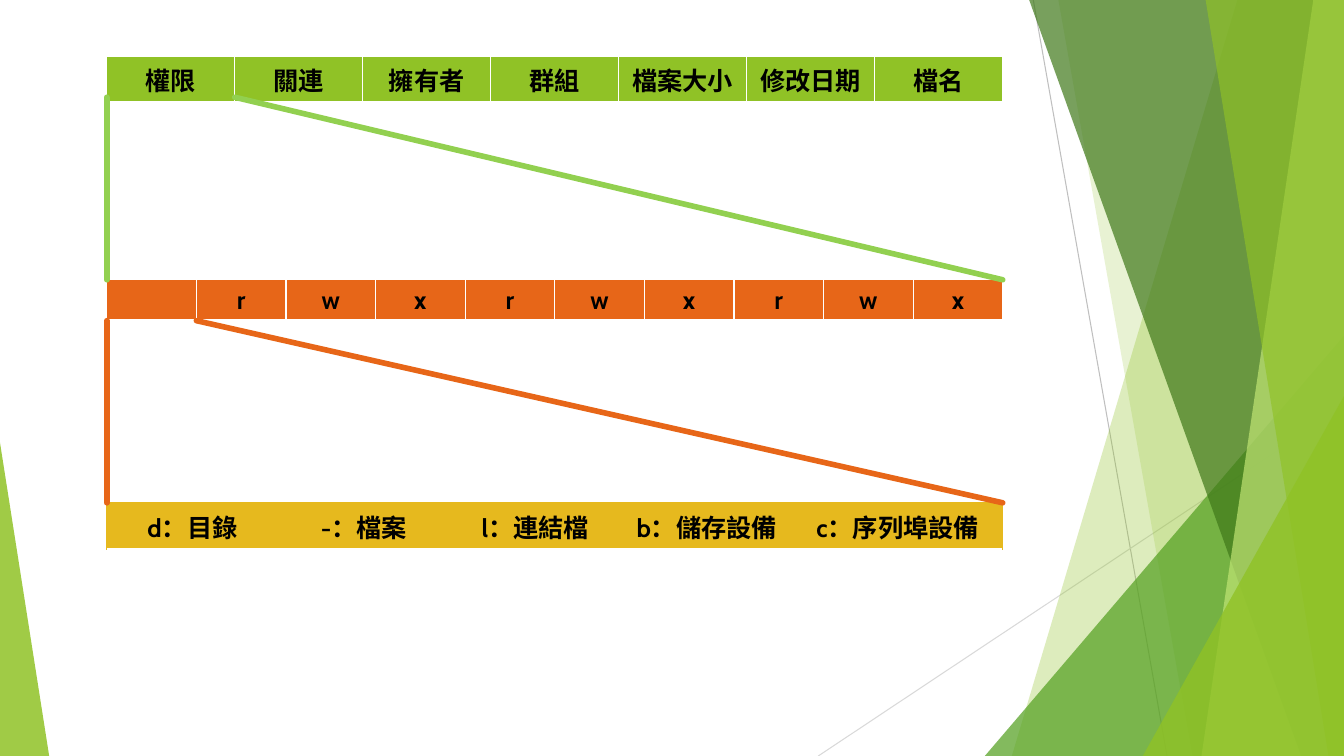
from lxml import etree
from pptx import Presentation
from pptx import util as u
from pptx.dml.color import RGBColor
from pptx.enum import shapes, text
from pptx.oxml import ns

WIDE, HIGH = 33.87, 19.05
LEFT, SPAN, ROW = 2.69, 22.58, 1.03
RIGHT = LEFT + SPAN

BLACK = RGBColor(0x00, 0x00, 0x00)
WHITE = RGBColor(0xFF, 0xFF, 0xFF)
LIME = RGBColor(0x90, 0xC2, 0x26)
GREEN = RGBColor(0x54, 0xA0, 0x21)
DARK = RGBColor(0x3F, 0x78, 0x19)
PALE = RGBColor(0xC0, 0xE4, 0x74)
BRIGHT = RGBColor(0x92, 0xD0, 0x50)
ORANGE = RGBColor(0xE7, 0x66, 0x18)
GOLD = RGBColor(0xE6, 0xB9, 0x1E)
GRAY = RGBColor(0xBF, 0xBF, 0xBF)
SILVER = RGBColor(0xD9, 0xD9, 0xD9)


def add(parent, tag, **attrs):
    return etree.SubElement(parent, ns.qn(tag), attrs)


class Deck:
    style = {"size": u.Pt(18), "bold": True}

    def __init__(self):
        self.prs = Presentation()
        self.prs.slide_width = u.Cm(WIDE)
        self.prs.slide_height = u.Cm(HIGH)
        self.slide = self.prs.slides.add_slide(self.prs.slide_layouts[6])
        self.items = self.slide.shapes

    def paint(self, shape, color, alpha):
        shape.shadow.inherit = False
        shape.line.fill.background()
        shape.fill.solid()
        shape.fill.fore_color.rgb = color
        tint = shape.fill._xPr.find(".//" + ns.qn("a:srgbClr"))
        add(tint, "a:alpha", val=str(alpha * 1000))

    def band(self, top, foot, color, alpha):
        """Full-height band from a slanted left edge to the slide's right edge."""
        ends = [(top, -0.02), (WIDE, -0.02), (WIDE, HIGH), (foot, HIGH)]
        dots = [(u.Cm(x), u.Cm(y)) for x, y in ends]
        build = self.items.build_freeform(*dots[0])
        build.add_line_segments(dots[1:], close=True)
        self.paint(build.convert_to_shape(), color, alpha)

    def wedge(self, x, y, wide, tip, color, alpha):
        """Triangle that stands on the slide's bottom edge."""
        shape = self.items.add_shape(
            shapes.MSO_SHAPE.ISOSCELES_TRIANGLE,
            u.Cm(x), u.Cm(y), u.Cm(wide), u.Cm(HIGH - y))
        shape.adjustments[0] = tip
        self.paint(shape, color, alpha)

    def line(self, x1, y1, x2, y2, color, width):
        link = self.items.add_connector(
            shapes.MSO_CONNECTOR.STRAIGHT,
            u.Cm(x1), u.Cm(y1), u.Cm(x2), u.Cm(y2))
        link.line.color.rgb = color
        link.line.width = u.Pt(width)
        link.line._get_or_add_ln().set("cap", "rnd")
        add(link._element.spPr, "a:effectLst")

    def edge(self, cell, sides):
        """Borders in the order left, right, top, bottom; None hides one."""
        props = cell._tc.get_or_add_tcPr()
        for i, (side, look) in enumerate(zip("LRTB", sides)):
            color, width = look or (None, 0)
            ln = etree.Element(ns.qn("a:ln" + side), w=str(u.Pt(width)))
            if color is None:
                add(ln, "a:noFill")
            else:
                add(add(ln, "a:solidFill"), "a:srgbClr", val=str(color))
            props.insert(i, ln)

    def table(self, y, words, widths, color, font, borders):
        frame = self.items.add_table(
            1, len(words), u.Cm(LEFT), u.Cm(y), u.Cm(SPAN), u.Cm(ROW))
        grid = frame.table
        grid.first_row = grid.horz_banding = False
        for i, (word, width) in enumerate(zip(words, widths)):
            grid.columns[i].width = u.Cm(width)
            cell = grid.cell(0, i)
            cell.fill.solid()
            cell.fill.fore_color.rgb = color
            self.edge(cell, borders(i))
            para = cell.text_frame.paragraphs[0]
            para.alignment = text.PP_ALIGN.CENTER
            if word:
                run = para.add_run()
                run.text = word
                run.font.color.rgb = BLACK
                for key, value in {**self.style, "name": font}.items():
                    setattr(run.font, key, value)


def boxed(i):
    thin = (WHITE, 1)
    return thin, thin, thin, (WHITE, 3)


def main():
    deck = Deck()

    # Green backdrop
    deck.line(26.04, 0, 29.41, HIGH, GRAY, 0.75)
    deck.line(WIDE, 10.24, 20.62, HIGH, SILVER, 0.75)
    deck.band(31.19, 25.5, LIME, 30)
    deck.band(26.67, 30.05, LIME, 20)
    deck.wedge(24.82, 8.46, 9.05, 1, GREEN, 72)
    deck.band(25.93, 32.79, DARK, 70)
    deck.band(33.1, 30.28, PALE, 70)
    deck.band(30.38, 33.48, LIME, 65)
    deck.wedge(28.8, 9.98, 5.07, 1, LIME, 80)
    deck.wedge(0, 11.15, 1.24, 0, LIME, 85)

    # Listing columns, permission bits and file types
    heads = ["權限", "關連", "擁有者", "群組", "檔案大小", "修改日期", "檔名"]
    bits = [""] + list("rwx") * 3
    kinds = ["d：目錄", "-：檔案", "l：連結檔", "b：儲存設備", "c：序列埠設備"]
    step, bit = SPAN / len(heads), SPAN / len(bits)
    rim = (GOLD, 1)

    def framed(i):
        last = i == len(kinds) - 1
        return (None if i else rim, rim if last else None, rim, (WHITE, 1.5))

    tops = [1.42, 7.05, 12.67]
    deck.table(tops[0], heads, [step] * 7, LIME, "Arial", boxed)
    deck.table(tops[1], bits, [bit] * 10, ORANGE, "Cabin", boxed)
    deck.table(tops[2], kinds, [4.32] * 4 + [5.3], GOLD, "Cabin", framed)

    # Lines that open the first cell of one table into the next table
    for top, foot, wide, color in zip(tops, tops[1:], (step, bit),
                                      (BRIGHT, ORANGE)):
        deck.line(LEFT, top + ROW, LEFT, foot, color, 4)
        deck.line(LEFT + wide, top + ROW, RIGHT, foot, color, 4)

    deck.prs.save("out.pptx")


if __name__ == "__main__":
    main()
